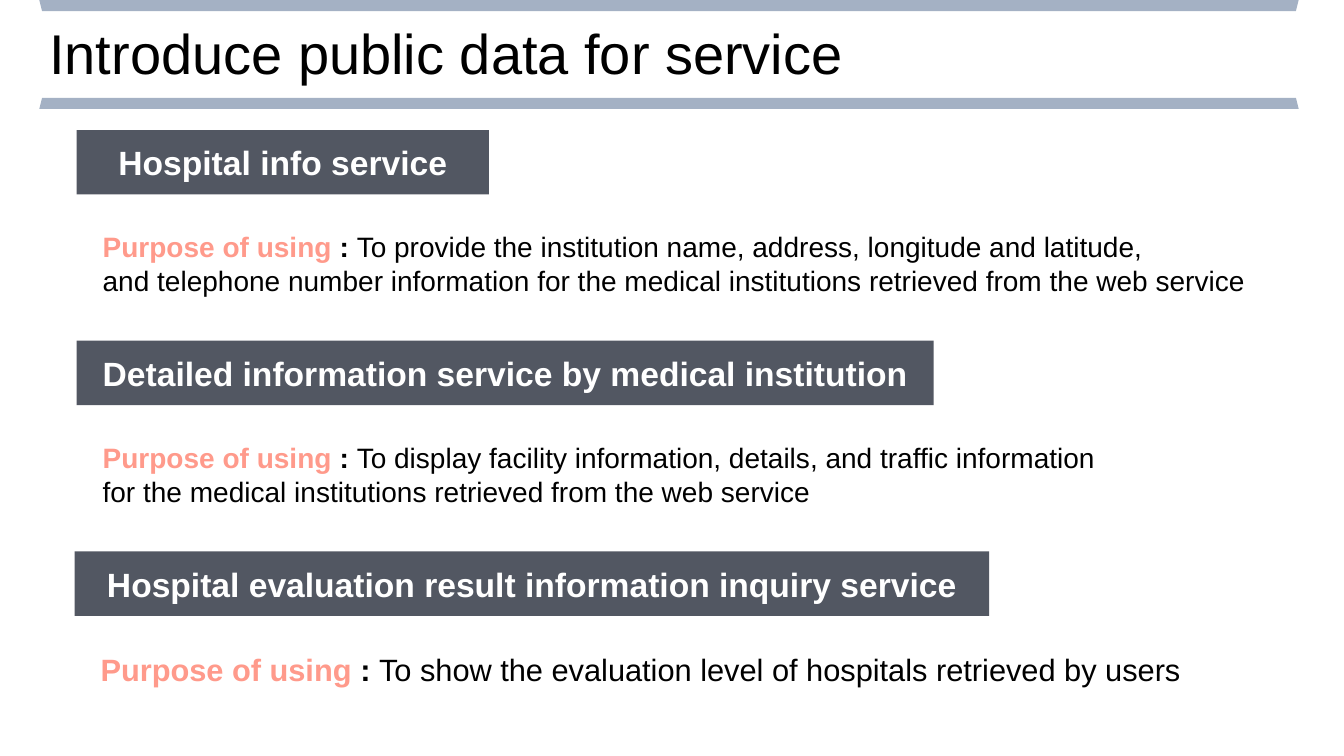
import pptx
import pptx.dml.color
import pptx.enum.shapes
import pptx.enum.text
import pptx.oxml.ns
import pptx.util
from lxml import etree

Inches = pptx.util.Inches
SHAPE = pptx.enum.shapes.MSO_SHAPE

COLORS = {
    "band": "A4B1C4",
    "heading": "404551",
    "accent": "FF9A8B",
    "black": "000000",
    "white": "FFFFFF",
}
FONT = "Arial"
FIRST_TOP = 1.29
SECTION_PITCH = 2.09
PURPOSE_DROP = 0.94
PURPOSE_INDENT = 0.16

# heading, left, heading width, purpose box width and height, size, lines
SECTIONS = [
    ("Hospital info service", 0.76, 4.09, 12.27, 0.77, 20,
     ["To provide the institution name, address, longitude and latitude,",
      "and telephone number information for the medical institutions "
      "retrieved from the web service"]),
    ("Detailed information service by medical institution",
     0.76, 8.5, 10.5, 0.77, 20,
     ["To display facility information, details, and traffic information",
      "for the medical institutions retrieved from the web service"]),
    ("Hospital evaluation result information inquiry service",
     0.74, 9.07, 11.33, 0.47, 22,
     ["To show the evaluation level of hospitals retrieved by users"]),
]


def rgb(name):
    return pptx.dml.color.RGBColor.from_string(COLORS[name])


def add_run(p, text, size, color, bold=False):
    r = p.add_run()
    r.text = text
    r.font.name = FONT
    r.font.size = pptx.util.Pt(size)
    r.font.bold = bold
    r.font.color.rgb = rgb(color)


def add_block(s, kind, left, top, width, height, color):
    sp = s.shapes.add_shape(kind, Inches(left), Inches(top),
                            Inches(width), Inches(height))
    sp.shadow.inherit = False
    sp.fill.solid()
    sp.fill.fore_color.rgb = rgb(color)
    sp.line.fill.background()
    return sp


def add_text_box(s, left, top, width, height):
    sp = s.shapes.add_textbox(Inches(left), Inches(top),
                              Inches(width), Inches(height))
    tf = sp.text_frame
    tf.word_wrap = False
    tf.auto_size = pptx.enum.text.MSO_AUTO_SIZE.SHAPE_TO_FIT_TEXT
    return tf


def add_heading(s, text, left, top, width):
    sp = add_block(s, SHAPE.RECTANGLE, left, top, width, 0.64, "heading")
    # 90 % opacity
    fill_color = sp.fill._xPr.find(".//" + pptx.oxml.ns.qn("a:srgbClr"))
    etree.SubElement(fill_color, pptx.oxml.ns.qn("a:alpha"), val="90000")
    tf = sp.text_frame
    tf.vertical_anchor = pptx.enum.text.MSO_ANCHOR.MIDDLE
    p = tf.paragraphs[0]
    p.alignment = pptx.enum.text.PP_ALIGN.CENTER
    add_run(p, text, 24, "white", bold=True)


def add_purpose(s, lines, left, top, width, height, size):
    tf = add_text_box(s, left, top, width, height)
    p = tf.paragraphs[0]
    add_run(p, "Purpose of using ", size, "accent", bold=True)
    add_run(p, ": ", size, "black", bold=True)
    add_run(p, lines[0], size, "black")
    for line in lines[1:]:
        add_run(tf.add_paragraph(), line, size, "black")


def main():
    prs = pptx.Presentation()
    prs.slide_width = Inches(13.33)
    prs.slide_height = Inches(7.5)
    s = prs.slides.add_slide(prs.slide_layouts[6])

    # Title between two bands, the upper one upside down
    upper = add_block(s, SHAPE.TRAPEZOID, 0.39, 0, 12.49, 0.11, "band")
    upper.rotation = 180
    add_block(s, SHAPE.TRAPEZOID, 0.39, 0.97, 12.49, 0.11, "band")
    title = add_text_box(s, 0.39, 0.13, 8.52, 0.77)
    add_run(title.paragraphs[0], "Introduce public data for service", 40, "black")

    # Services with their purposes
    for i, (heading, left, width, text_width, text_height, size, lines) in enumerate(SECTIONS):
        top = FIRST_TOP + i * SECTION_PITCH
        add_heading(s, heading, left, top, width)
        add_purpose(s, lines, left + PURPOSE_INDENT, top + PURPOSE_DROP,
                    text_width, text_height, size)

    prs.save("out.pptx")


if __name__ == "__main__":
    main()
